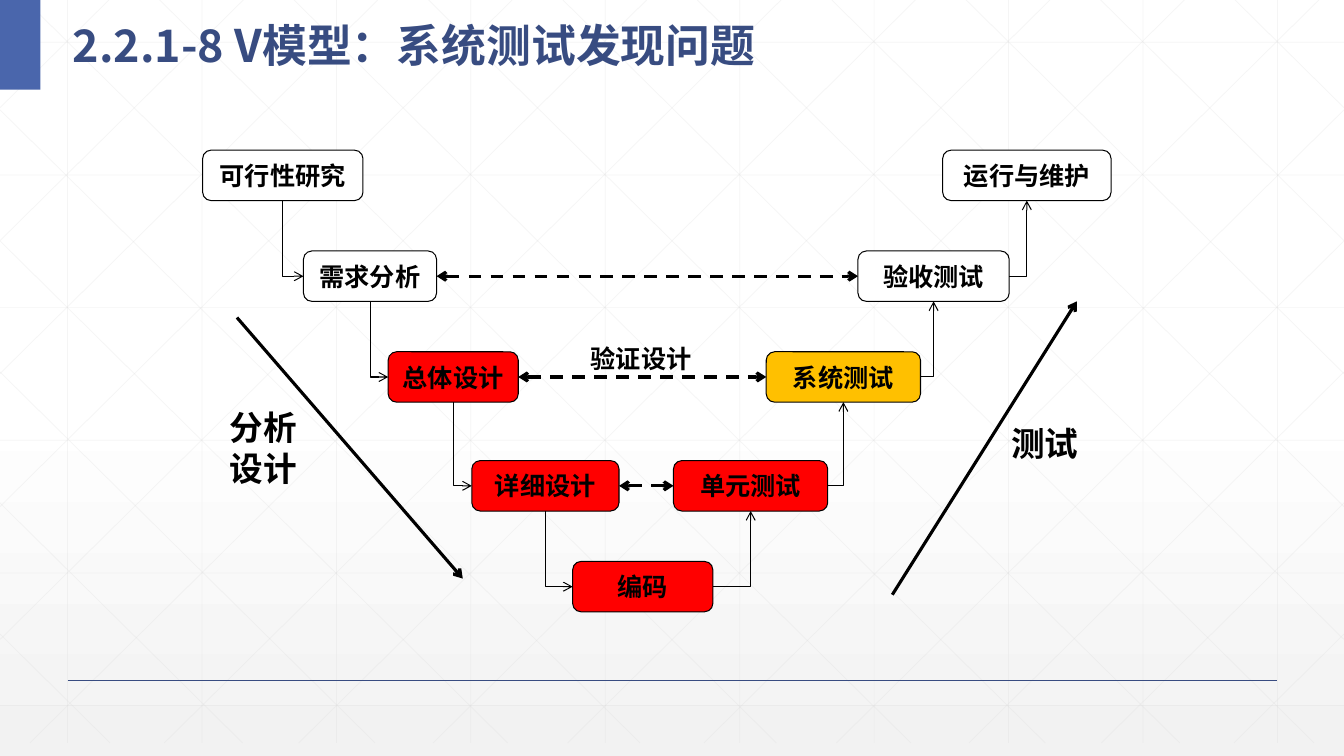
from dataclasses import dataclass
from itertools import pairwise

from lxml.etree import SubElement
from pptx import Presentation
from pptx.dml.color import RGBColor
from pptx.enum.dml import MSO_LINE
from pptx.enum.shapes import MSO_CONNECTOR, MSO_SHAPE
from pptx.enum.text import MSO_ANCHOR, PP_ALIGN
from pptx.oxml.ns import qn
from pptx.shapes.autoshape import Shape
from pptx.shapes.connector import Connector
from pptx.slide import Slide
from pptx.text.text import TextFrame
from pptx.util import Inches, Pt

WIDTH, HEIGHT = 13.33, 7.5
BOX_HEIGHT = 0.5
COLORS = {
    "ink": "000000",
    "white": "FFFFFF",
    "grey": "F2F2F2",
    "grid": "D9D9D9",
    "navy": "384C81",
    "blue": "4A66AC",
    "faulty": "FF0000",
    "detecting": "FFC000",
}
BODY_FONT = "Times New Roman"
TITLE_FONT = "Noto Sans CJK SC"


@dataclass(frozen=True)
class Stage:
    name: str
    left: float
    top: float
    width: float
    color: str = "white"

    @property
    def center(self) -> float:
        return self.left + self.width / 2

    @property
    def middle(self) -> float:
        return self.top + BOX_HEIGHT / 2


@dataclass(frozen=True)
class Label:
    lines: tuple[str, ...]
    left: float
    top: float
    width: float
    height: float
    size: int


DESIGN = [
    Stage("可行性研究", 2.01, 1.49, 1.59),
    Stage("需求分析", 3.01, 2.49, 1.32),
    Stage("总体设计", 3.85, 3.49, 1.29, "faulty"),
    Stage("详细设计", 4.68, 4.57, 1.46, "faulty"),
]
CODING = Stage("编码", 5.68, 5.57, 1.39, "faulty")
TESTING = [
    Stage("单元测试", 6.68, 4.57, 1.53, "faulty"),
    Stage("系统测试", 7.6, 3.49, 1.53, "detecting"),
    Stage("验收测试", 8.51, 2.49, 1.5),
    Stage("运行与维护", 9.35, 1.49, 1.67),
]
LABELS = [
    Label(("分析", "设计"), 2.18, 3.99, 1.25, 1.08, 24),
    Label(("测试",), 9.93, 4.15, 1, 0.67, 24),
    Label(("验证设计",), 5.76, 3.36, 1.33, 0.38, 18),
]
DIRECTIONS = [(2.35, 3.15, 4.59, 5.74), (8.85, 5.9, 10.68, 2.99)]


def rgb(color: str) -> RGBColor:
    return RGBColor.from_string(COLORS[color])


def add_line(shapes, ends: tuple[float, ...], color: str, weight: float,
             arrows: tuple[str, ...] = ()) -> Connector:
    """Draw from (x, y) to (x, y); arrows names the ends, headEnd or tailEnd."""
    line = shapes.add_connector(MSO_CONNECTOR.STRAIGHT, *map(Inches, ends))
    line.line.color.rgb = rgb(color)
    line.line.width = Pt(weight)
    properties = line._element.spPr
    for end in arrows:
        SubElement(properties.find(qn("a:ln")), qn(f"a:{end}"), type="arrow")
    SubElement(properties, qn("a:effectLst"))
    return line


def add_grid(slide: Slide) -> None:
    shapes = slide.shapes.add_group_shape().shapes
    step, bottom, reach = 4 / 3, 7.37, 7.45
    slope = bottom / reach
    ends = [(0.67 + step * i, 0, 0.67 + step * i, bottom) for i in range(10)]
    ends += [(0, 0.42 + 1.316 * i, WIDTH, 0.42 + 1.316 * i) for i in range(6)]
    falling = []
    for i in range(10):
        start = 0.25 + step * i
        run = min(WIDTH - start, reach)
        falling.append((start, 0, start + run, run * slope))
    for i in range(5):
        start = 1.09 + 1.3 * i
        falling.append((0, start, (bottom - start) / slope, bottom))
    mirrored = [(WIDTH - x1, y1, WIDTH - x2, y2) for x1, y1, x2, y2 in falling]
    for line_ends in ends + falling + mirrored:
        line = add_line(shapes, line_ends, "grid", 0.5)
        tint = next(line._element.spPr.iter(qn("a:srgbClr")))
        SubElement(tint, qn("a:alpha"), val="25000")


def write(frame: TextFrame, lines: tuple[str, ...], size: int,
          align: PP_ALIGN = PP_ALIGN.LEFT) -> None:
    for index, text in enumerate(lines):
        paragraph = frame.add_paragraph() if index else frame.paragraphs[0]
        paragraph.alignment = align
        run = paragraph.add_run()
        run.text = text
        run.font.name = BODY_FONT
        run.font.size = Pt(size)
        run.font.bold = True
        run.font.color.rgb = rgb("ink")


def add_stage(slide: Slide, stage: Stage) -> Shape:
    box = slide.shapes.add_shape(
        MSO_SHAPE.ROUNDED_RECTANGLE, Inches(stage.left), Inches(stage.top),
        Inches(stage.width), Inches(BOX_HEIGHT))
    box.shadow.inherit = False
    box.fill.solid()
    box.fill.fore_color.rgb = rgb(stage.color)
    box.line.color.rgb = rgb("ink")
    box.line.width = Pt(0.75)
    box.text_frame.word_wrap = False
    box.text_frame.vertical_anchor = MSO_ANCHOR.MIDDLE
    write(box.text_frame, (stage.name,), 18, PP_ALIGN.CENTER)
    return box


def add_step(slide: Slide, source: Stage, target: Stage) -> None:
    """Bend once: down then right while designing, right then up while testing."""
    descending = target.top > source.top
    if descending:
        x1, y1 = source.center, source.top + BOX_HEIGHT
        x2, y2 = target.left, target.middle
        # A quarter turn about the centre swaps the width and the height.
        x, y, across, down = (x1 + x2) / 2, (y1 + y2) / 2, x2 - x1, y2 - y1
        ends = (x + down / 2, y - across / 2, x - down / 2, y + across / 2)
    else:
        ends = (source.left + source.width, source.middle,
                target.center, target.top + BOX_HEIGHT)
    step = add_line(slide.shapes, ends, "ink", 0.75, ("tailEnd",))
    properties = step._element.spPr
    properties.find(qn("a:prstGeom")).set("prst", "bentConnector2")
    if descending:
        properties.find(qn("a:xfrm")).set("rot", "16200000")


def add_title(slide: Slide, text: str) -> None:
    title = slide.shapes.title
    title.left, title.top = Inches(0.62), Inches(0)
    title.width, title.height = Inches(8.5), Inches(0.73)
    title.text_frame.vertical_anchor = MSO_ANCHOR.MIDDLE
    paragraph = title.text_frame.paragraphs[0]
    paragraph.alignment = PP_ALIGN.LEFT
    paragraph.line_spacing = 1.3
    run = paragraph.add_run()
    run.text = text
    run.font.size = Pt(32)
    run.font.bold = True
    run.font.color.rgb = rgb("navy")
    run.font.name = TITLE_FONT
    SubElement(run.font._element, qn("a:ea"), typeface=TITLE_FONT)
    slide.shapes._spTree.append(title._element)  # in front of the grid


def add_backdrop(slide: Slide) -> None:
    fill = slide.background.fill
    fill.gradient()
    fill.gradient_angle = 270
    for stop, color, position in zip(fill.gradient_stops, ("white", "grey"), (0.53, 1)):
        stop.color.rgb = rgb(color)
        stop.position = position
    add_grid(slide)
    add_line(slide.shapes, (0.67, 6.75, 12.67, 6.75), "navy", 1)
    corner = slide.shapes.add_shape(
        MSO_SHAPE.RECTANGLE, 0, 0, Inches(0.4), Inches(0.89))
    corner.shadow.inherit = False
    corner.fill.solid()
    corner.fill.fore_color.rgb = rgb("blue")
    corner.line.fill.background()


def main() -> None:
    deck = Presentation()
    deck.slide_width, deck.slide_height = Inches(WIDTH), Inches(HEIGHT)
    slide = deck.slides.add_slide(deck.slide_layouts[5])
    add_backdrop(slide)
    add_title(slide, "2.2.1-8 V模型：系统测试发现问题")

    stages = [*DESIGN, CODING, *TESTING]
    boxes = {stage: add_stage(slide, stage) for stage in stages}
    for source, target in pairwise(stages):
        add_step(slide, source, target)
    for design, test in zip(DESIGN[1:], reversed(TESTING[:-1])):
        ends = (design.left + design.width, design.middle, test.left, test.middle)
        check = add_line(slide.shapes, ends, "ink", 2.25, ("headEnd", "tailEnd"))
        check.line.dash_style = MSO_LINE.DASH
        check.begin_connect(boxes[design], 3)
        check.end_connect(boxes[test], 1)
    for ends in DIRECTIONS:
        add_line(slide.shapes, ends, "ink", 2.25, ("tailEnd",))
    for label in LABELS:
        note = slide.shapes.add_textbox(
            *map(Inches, (label.left, label.top, label.width, label.height)))
        note.text_frame.word_wrap = True
        write(note.text_frame, label.lines, label.size)
    deck.save("out.pptx")


if __name__ == "__main__":
    main()
